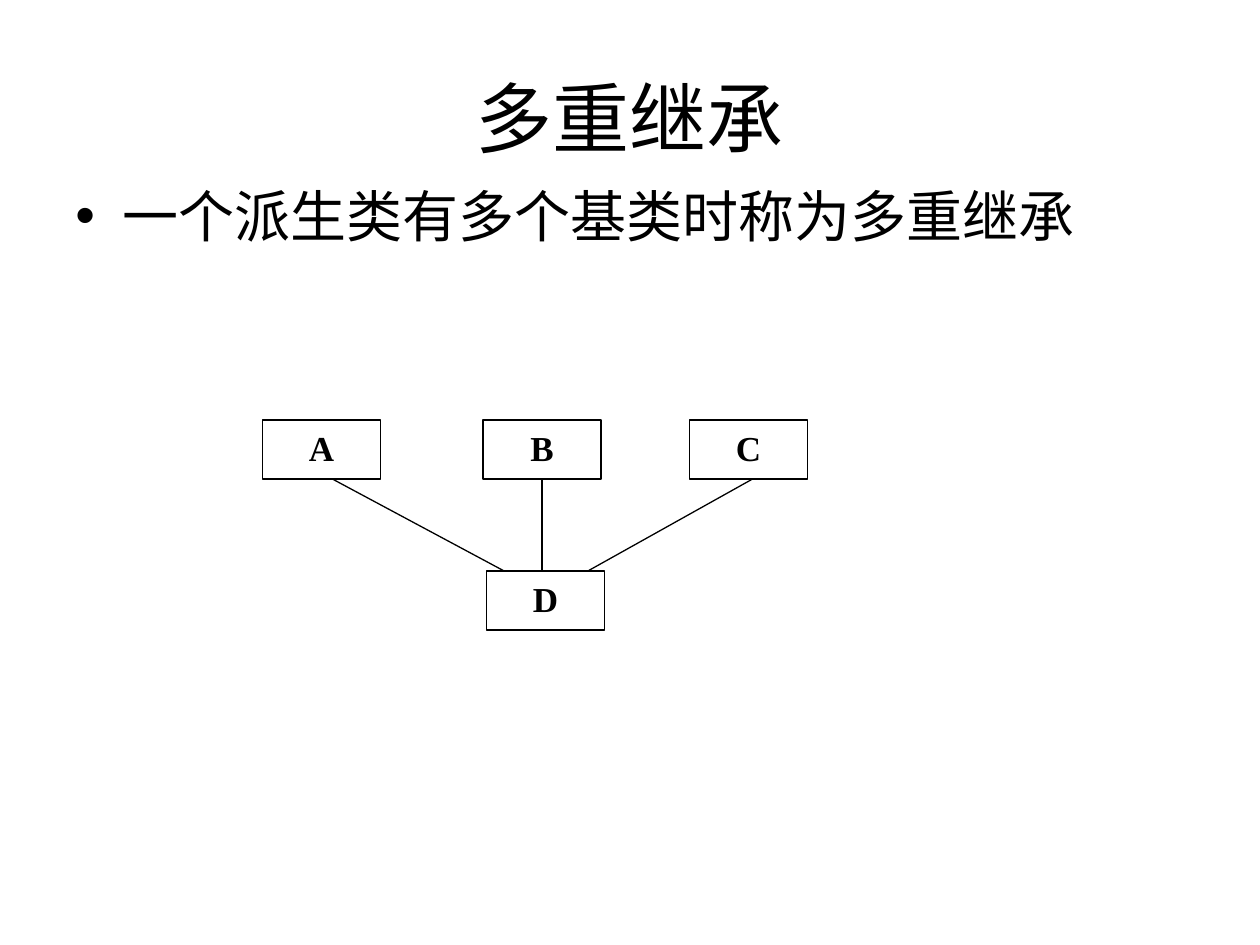
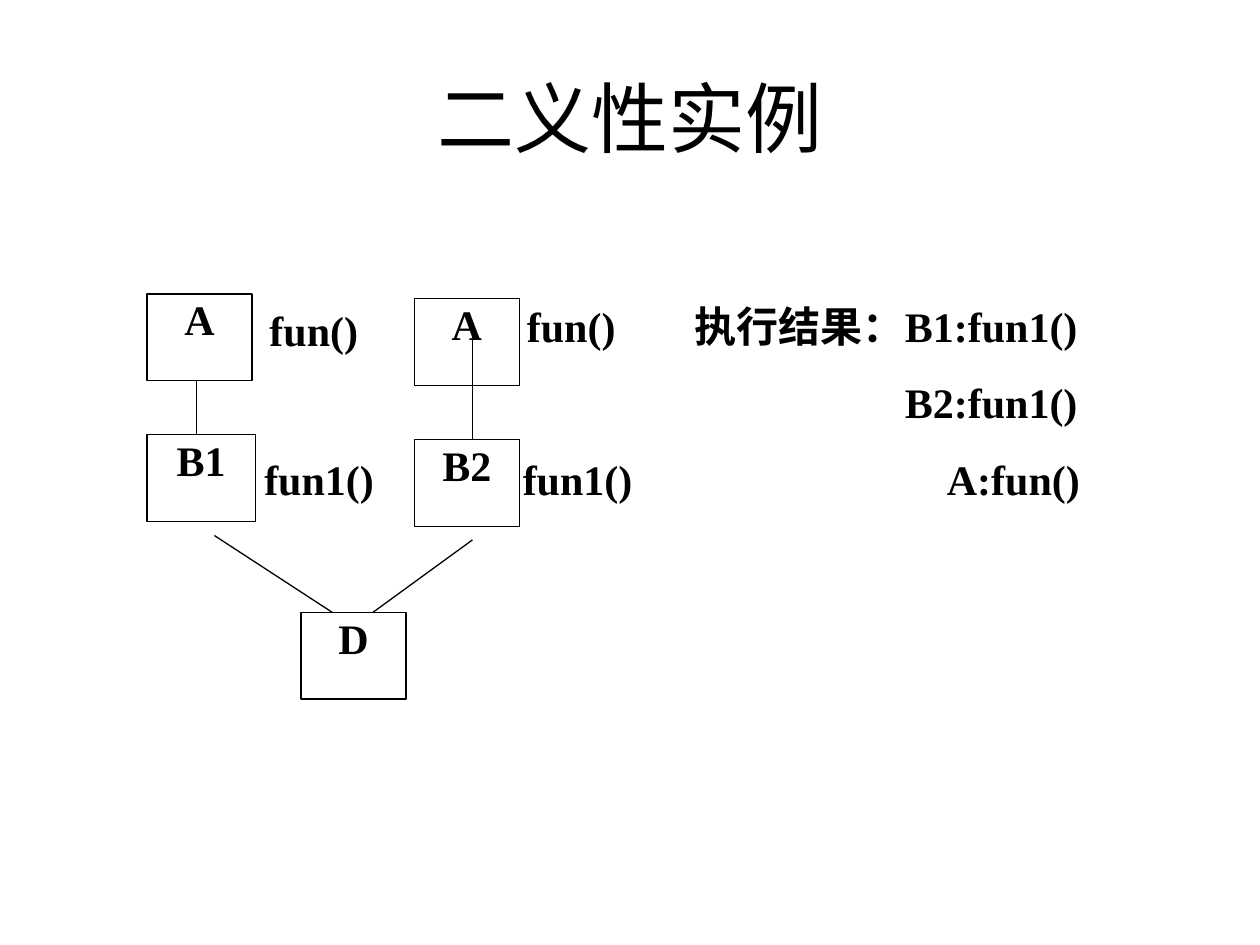
from lxml import etree
from pptx import Presentation
from pptx.dml.color import RGBColor
from pptx.enum.lang import MSO_LANGUAGE_ID
from pptx.enum.shapes import MSO_CONNECTOR, MSO_SHAPE
from pptx.enum.text import MSO_ANCHOR, PP_ALIGN
from pptx.oxml.ns import qn
from pptx.util import Pt

RECT = MSO_SHAPE.RECTANGLE
STRAIGHT = MSO_CONNECTOR.STRAIGHT
LEFT, CENTER, JUSTIFY = PP_ALIGN.LEFT, PP_ALIGN.CENTER, PP_ALIGN.JUSTIFY
TOP, MIDDLE = MSO_ANCHOR.TOP, MSO_ANCHOR.MIDDLE
CHINESE = MSO_LANGUAGE_ID.SIMPLIFIED_CHINESE
BOTTOM_SITE = 2

COLORS = {"ink": "000000", "paper": "FFFFFF"}
HEAD_FONT, LABEL_FONT = "Calibri", "Times New Roman"
INSET = (7.2, 3.6)
NO_INSET = (0, 0)


class Deck:
    """Holds the shared style and the current slide."""

    def __init__(self):
        self.prs = Presentation()
        self.prs.slide_width, self.prs.slide_height = Pt(720), Pt(540)
        self.ink = RGBColor.from_string(COLORS["ink"])
        self.s = None

    def slide(self, title):
        self.s = self.prs.slides.add_slide(self.prs.slide_layouts[6])
        fill = self.s.background.fill
        fill.solid()
        fill.fore_color.rgb = RGBColor.from_string(COLORS["paper"])
        self.text(title, 36, 21.6, 648, 90, 44, HEAD_FONT, False, CENTER, anchor=MIDDLE)

    def set_text(self, sp, text, size, font, bold, align, inset, anchor=TOP):
        tf = sp.text_frame
        tf.word_wrap = True
        tf.vertical_anchor = anchor
        tf.margin_left = tf.margin_right = Pt(inset[0])
        tf.margin_top = tf.margin_bottom = Pt(inset[1])
        tf.text = text
        for p in tf.paragraphs:
            p.alignment = align
            for r in p.runs:
                r.font.name, r.font.size, r.font.bold = font, Pt(size), bold
                r.font.color.rgb = self.ink
                r.font.language_id = CHINESE
        return tf

    def text(self, text, x, y, w, h, size=24, font=LABEL_FONT, bold=True,
             align=JUSTIFY, inset=INSET, anchor=TOP):
        sp = self.s.shapes.add_textbox(Pt(x), Pt(y), Pt(w), Pt(h))
        return self.set_text(sp, text, size, font, bold, align, inset, anchor)

    def bullet(self, text, x, y, w, h):
        tf = self.text(text, x, y, w, h, 32, HEAD_FONT, False, LEFT)
        pPr = tf.paragraphs[0]._p.get_or_add_pPr()
        pPr.set("marL", str(Pt(27)))
        pPr.set("indent", str(-Pt(27)))
        etree.SubElement(pPr, qn("a:buFont")).set("typeface", "Arial")
        etree.SubElement(pPr, qn("a:buChar")).set("char", "•")

    def class_box(self, name, x, y, w, h, size=24, inset=NO_INSET):
        sp = self.s.shapes.add_shape(RECT, Pt(x), Pt(y), Pt(w), Pt(h))
        sp.shadow.inherit = False
        sp.fill.background()
        sp.line.color.rgb = self.ink
        sp.line.width = Pt(0.75)
        self.set_text(sp, name, size, LABEL_FONT, True, CENTER, inset)
        return sp

    def line(self, x1, y1, x2, y2):
        c = self.s.shapes.add_connector(STRAIGHT, Pt(x1), Pt(y1), Pt(x2), Pt(y2))
        c.line.color.rgb = self.ink
        c.line.width = Pt(0.75)
        etree.SubElement(c._element.spPr, qn("a:effectLst"))
        return c


def multiple_inheritance(deck):
    deck.slide("多重继承")
    deck.bullet("一个派生类有多个基类时称为多重继承", 36, 100, 648, 85)

    # Base classes above, derived class below
    w, h, base_y, derived_y = 67.5, 33.75, 240, 326.25
    boxes = {}
    for name, x, y in (("A", 150, base_y), ("B", 276, base_y),
                       ("C", 394, base_y), ("D", 278, derived_y)):
        boxes[name] = deck.class_box(name, x, y, w, h, 20, INSET)

    # Inheritance lines
    for x1, x2 in ((190, 288), (430, 336)):
        deck.line(x1, base_y + h, x2, derived_y)
    middle = deck.line(309.75, base_y + h, 309.75, derived_y)
    middle.begin_connect(boxes["B"], BOTTOM_SITE)


def ambiguity_example(deck):
    deck.slide("二义性实例")

    # Class boxes
    for name, x, y, w in (("A", 84, 168, 60), ("A", 236.75, 170.75, 60),
                          ("B1", 84, 248.5, 62), ("B2", 236.75, 251.25, 60),
                          ("D", 172, 350, 60)):
        deck.class_box(name, x, y, w, 49.5)

    # Inheritance lines
    for ends in ((112.5, 217.5, 112.5, 248.5), (270, 190, 270, 221),
                 (270, 219.5, 270, 251.25), (122.5, 306, 190, 350),
                 (270, 308.5, 213, 350)):
        deck.line(*ends)

    # Member functions beside the boxes
    deck.text("fun()", 154, 170.75, 80, 52, inset=(0, 3.6))
    deck.text("fun()", 294, 168, 66, 57)
    for x in (151, 298.75):
        deck.text("fun1()", x, 259, 70, 37, inset=NO_INSET)

    # Program output
    tf = deck.text("执行结果：B1:fun1()\nB2:fun1()\nA:fun()", 390, 168, 300, 124)
    for p, indent in zip(tf.paragraphs[1:], (120, 144)):
        p.space_before = Pt(15)
        p._p.get_or_add_pPr().set("marL", str(Pt(indent)))


def main():
    deck = Deck()
    multiple_inheritance(deck)
    ambiguity_example(deck)
    deck.prs.save("out.pptx")


if __name__ == "__main__":
    main()
